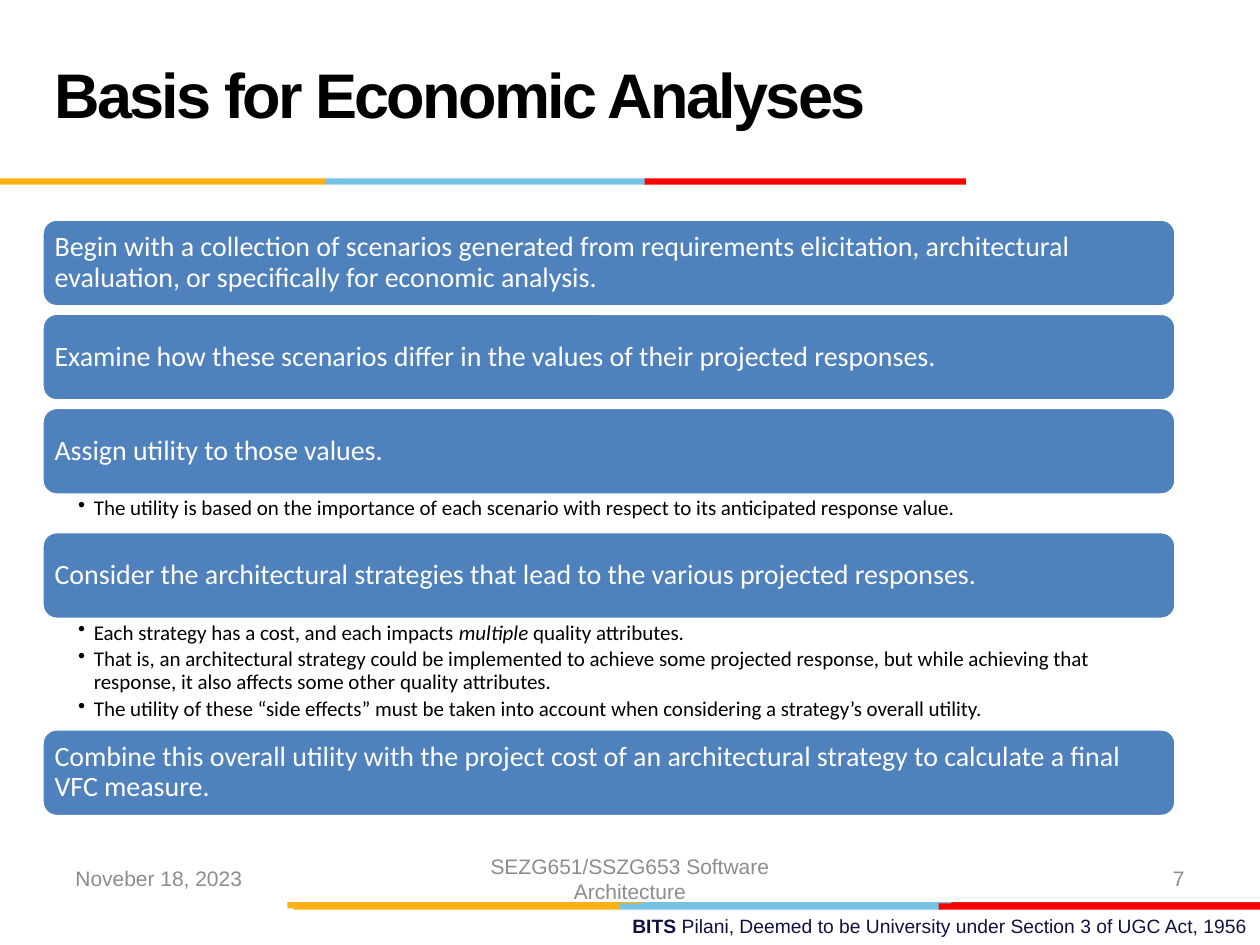
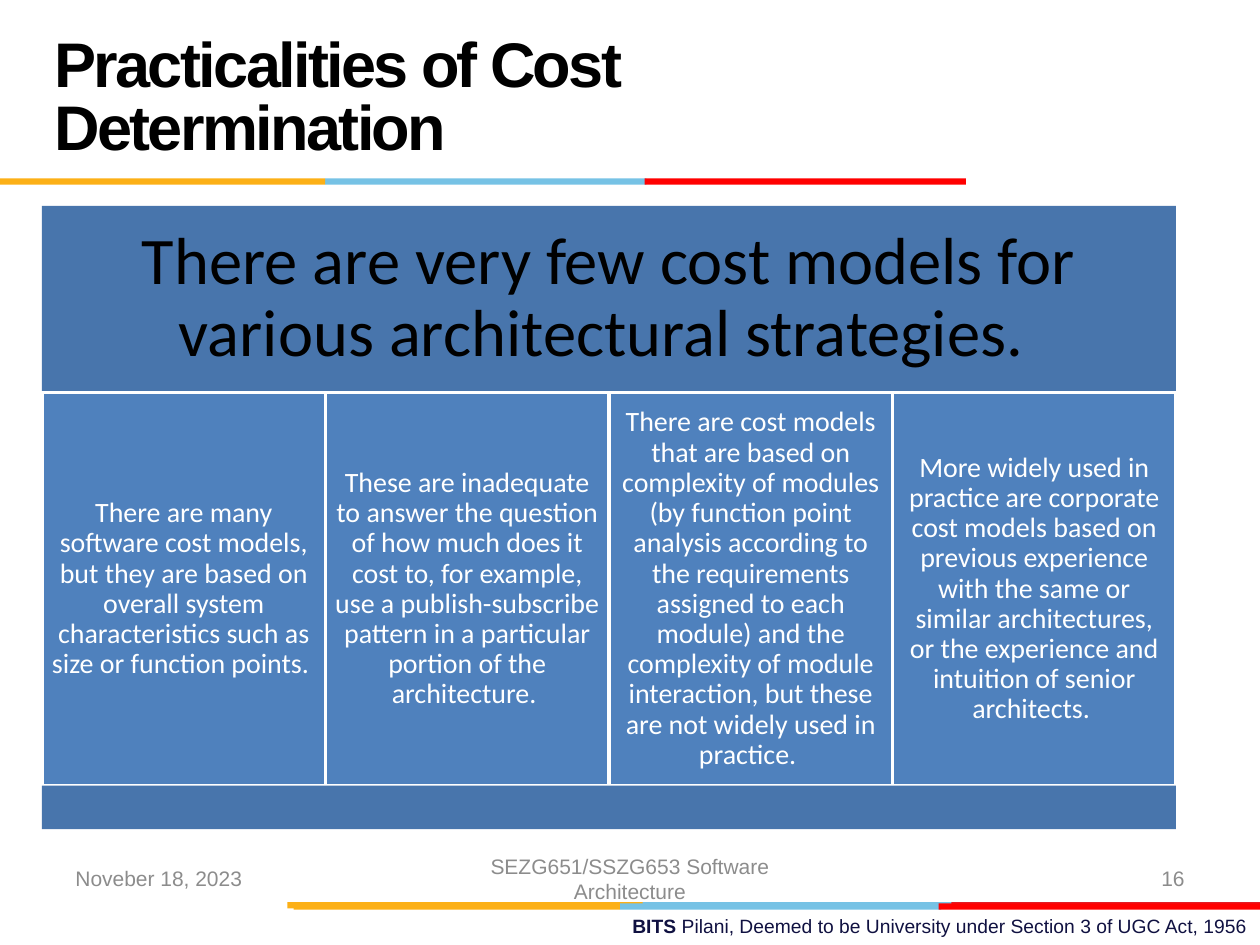
from lxml.etree import SubElement
from pptx import Presentation
from pptx.dml.color import RGBColor
from pptx.enum.shapes import MSO_SHAPE as Kind
from pptx.enum.text import MSO_ANCHOR as Anchor, PP_ALIGN as Align
from pptx.oxml.ns import qn
from pptx.util import Pt

COLORS = {
    "gold": "FCB017", "sky": "76C2E5", "red": "FF0000", "crimson": "E31C24",
    "navy": "101141", "gray": "8C8C8C", "black": "000000", "white": "FFFFFF",
    "card": "4F81BD", "band": "4875AC",
}

# Text formats
TITLE = {"name": "Arial", "size": Pt(36), "bold": True, "color": "black"}
FOOTER = {"name": "Arial", "size": Pt(12), "color": "gray"}
CREDIT = {"name": "Arial", "size": Pt(11), "color": "navy"}
CARD = {"name": "Calibri", "size": Pt(16), "color": "white"}
HEADLINE = {"name": "Calibri", "size": Pt(38), "color": "black"}
BULLET = {"name": "Calibri", "size": Pt(12), "color": "black"}
TIGHT = {"line_spacing": 0.9}
CENTERED = {"line_spacing": 0.9, "alignment": Align.CENTER}


def add_block(page, kind, left, top, width, height, fill, outlined=False):
    block = page.shapes.add_shape(kind, Pt(left), Pt(top), Pt(width), Pt(height))
    block.shadow.inherit = False
    block.fill.solid()
    block.fill.fore_color.rgb = RGBColor.from_string(COLORS[fill])
    if outlined:
        block.line.color.rgb = RGBColor.from_string(COLORS["white"])
        block.line.width = Pt(2)
    else:
        block.line.fill.background()
    return block


def write(box, paragraphs, style, layout, margins=(7.2, 3.6, 7.2, 3.6),
          anchor=Anchor.MIDDLE, bulleted=False):
    """Fill a box; each paragraph is a list of (text, font changes) pairs."""
    frame = box.text_frame
    frame.word_wrap = True
    frame.vertical_anchor = anchor
    for side, margin in zip(("left", "top", "right", "bottom"), margins):
        setattr(frame, f"margin_{side}", Pt(margin))
    for index, pieces in enumerate(paragraphs):
        para = frame.add_paragraph() if index else frame.paragraphs[0]
        for key, value in ({"alignment": Align.LEFT} | layout).items():
            setattr(para, key, value)
        if bulleted:
            para.level = 1
            properties = para._p.get_or_add_pPr()
            properties.set("marL", str(Pt(9)))
            properties.set("indent", str(Pt(-9)))
            SubElement(properties, qn("a:buChar"), char="•")
        for text, changes in pieces:
            span = para.add_run()
            span.text = text
            for key, value in (style | changes).items():
                if key == "color":
                    span.font.color.rgb = RGBColor.from_string(COLORS[value])
                else:
                    setattr(span.font, key, value)


deck = Presentation()
deck.slide_width, deck.slide_height = Pt(720), Pt(540)

# Stripes: colour, left, top, width
STRIPES = [
    ("sky", 364.3, 515.5, 183.6),
    ("crimson", 543.6, 515.5, 176.4),
    ("gold", 164.2, 515.5, 203),
    ("sky", 354.2, 516.2, 183.6),
    ("gold", 167.8, 516.2, 186.4),
    ("red", 536.4, 516.2, 183.6),
    ("sky", 185.8, 102, 183.6),
    ("gold", 0, 102, 185.8),
    ("red", 368.4, 102, 183.6),
]

# Shared frame of both pages: credit, stripes, title and footer
pages = []
for title, number in [("Basis for Economic Analyses", "7"),
                      ("Practicalities of Cost Determination", "16")]:
    page = deck.slides.add_slide(deck.slide_layouts[6])
    pages.append(page)

    credit = page.shapes.add_textbox(Pt(257.8), Pt(519.2), Pt(462.2), Pt(20.8))
    write(credit, [[("BITS ", {"bold": True}),
                    ("Pilani, Deemed to be University under Section 3 of UGC Act, 1956", {})]],
          CREDIT, {"alignment": Align.RIGHT}, anchor=Anchor.TOP)

    for color, left, top, width in STRIPES:
        add_block(page, Kind.RECTANGLE, left, top, width, 3.6, color)

    heading = page.shapes.add_textbox(Pt(24), Pt(12), Pt(498), Pt(90))
    write(heading, [[(title, {})]], TITLE, {"line_spacing": Pt(36)})
    for span in heading.text_frame.paragraphs[0].runs:
        span._r.get_or_add_rPr().set("spc", "-150")

    for text, left, width, alignment in [
        ("Noveber 18, 2023", 36, 168, Align.LEFT),
        ("SEZG651/SSZG653 Software Architecture", 246, 228, Align.CENTER),
        (number, 516, 168, Align.RIGHT),
    ]:
        footer = page.shapes.add_textbox(Pt(left), Pt(487.5), Pt(width), Pt(28.8))
        write(footer, [[(text, {})]], FOOTER, {"alignment": alignment})

basis_page, cost_page = pages
LEFT, WIDTH = 24, 648

# Basis for Economic Analyses: card text, bullets below it, height of the bullets
STEPS = [
    ("Begin with a collection of scenarios generated from requirements elicitation, "
     "architectural evaluation, or specifically for economic analysis.", [], 0),
    ("Examine how these scenarios differ in the values of their projected responses.", [], 0),
    ("Assign utility to those values.", [
        [("The utility is based on the importance of each scenario with respect to its "
          "anticipated response value.", {})],
    ], 20.9),
    ("Consider the architectural strategies that lead to the various projected responses.", [
        [("Each strategy has a cost, and each impacts ", {}),
         ("multiple", {"italic": True}),
         (" quality attributes.", {})],
        [("That is, an architectural strategy could be implemented to achieve some projected "
          "response, but while achieving that response, it also affects some other quality "
          "attributes.", {})],
        [("The utility of these “side effects” must be taken into account when considering "
          "a strategy’s overall utility.", {})],
    ], 62.6),
    ("Combine this overall utility with the project cost of an architectural strategy to "
     "calculate a final VFC measure.", [], 0),
]
CARD_HEIGHT, CARD_GAP = 50.1, 3.7
top = 125.2
for text, bullets, bullets_height in STEPS:
    card = add_block(basis_page, Kind.ROUNDED_RECTANGLE, LEFT, top, WIDTH, CARD_HEIGHT,
                     "card", outlined=True)
    write(card, [[(text, {})]], CARD, TIGHT, margins=(4.8,) * 4)
    top += CARD_HEIGHT
    if bullets:
        notes = basis_page.shapes.add_textbox(Pt(LEFT), Pt(top), Pt(WIDTH), Pt(bullets_height))
        write(notes, bullets, BULLET, TIGHT | {"space_after": Pt(2.4)},
              margins=(20.6, 1.5, 8.5, 1.5), anchor=Anchor.TOP, bulleted=True)
    top += bullets_height or CARD_GAP

# Practicalities of Cost Determination: headline, four columns, base band
headline = add_block(cost_page, Kind.RECTANGLE, LEFT, 117.6, WIDTH, 106.8, "band")
write(headline, [[("There are very few cost models for various architectural strategies. ", {})]],
      HEADLINE, CENTERED, margins=(11.4,) * 4)

COLUMNS = [
    "There are many software cost models, but they are based on overall system "
    "characteristics such as size or function points. ",
    "These are inadequate to answer the question of how much does it cost to, for example, "
    "use a publish-subscribe pattern in a particular portion of the architecture. ",
    "There are cost models that are based on complexity of modules (by function point "
    "analysis according to the requirements assigned to each module) and the complexity of "
    "module interaction, but these are not widely used in practice. ",
    "More widely used in practice are corporate cost models based on previous experience "
    "with the same or similar architectures, or the experience and intuition of senior "
    "architects. ",
]
column_width = WIDTH / len(COLUMNS)
for index, text in enumerate(COLUMNS):
    column = add_block(cost_page, Kind.RECTANGLE, LEFT + index * column_width, 224.4,
                       column_width, 224.5, "card", outlined=True)
    write(column, [[(text, {})]], CARD, CENTERED, margins=(4.8,) * 4)

add_block(cost_page, Kind.RECTANGLE, LEFT, 448.9, WIDTH, 24.9, "band")

deck.save("out.pptx")
